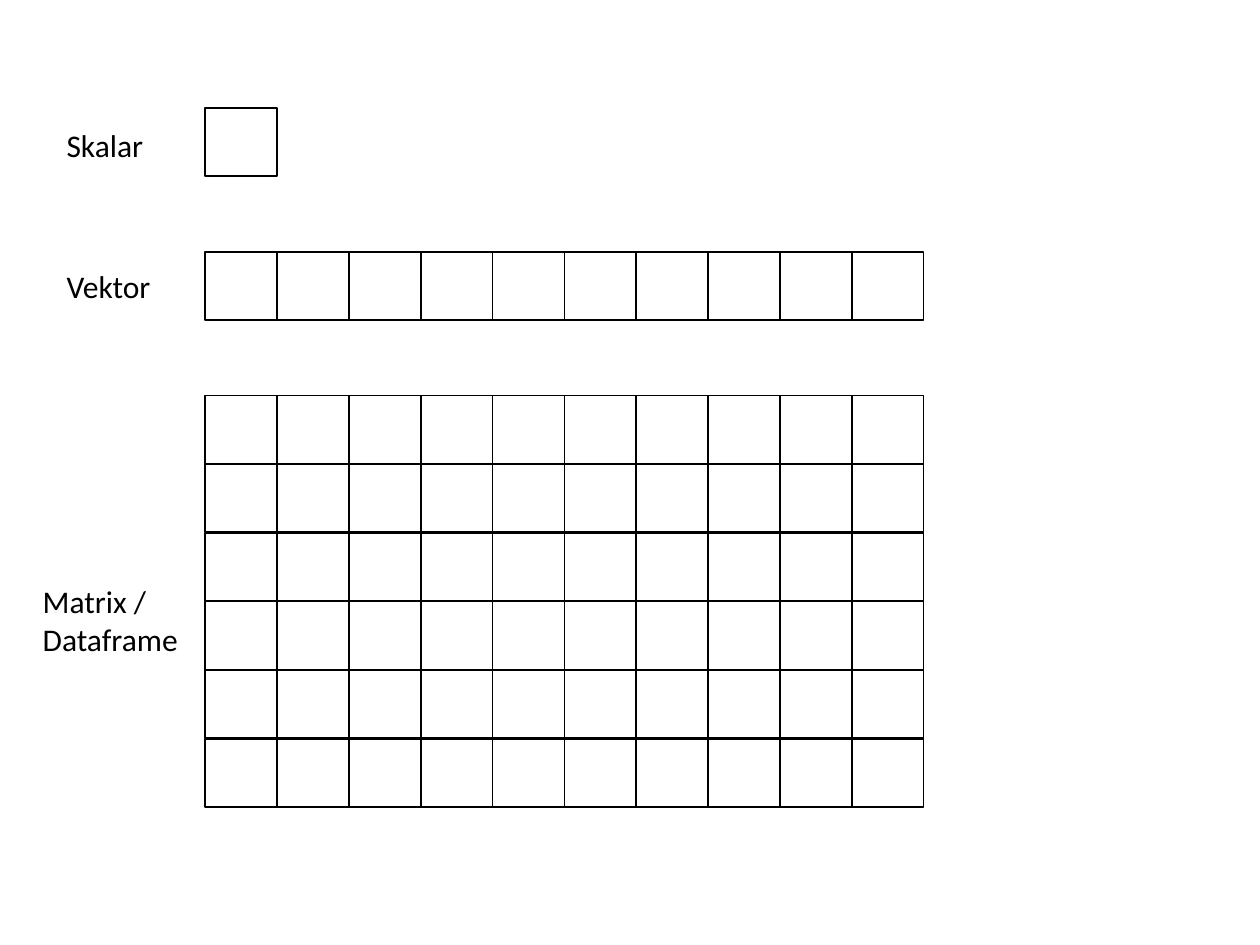
from pptx import Presentation
from pptx.dml.color import RGBColor
from pptx.enum.shapes import MSO_SHAPE
from pptx.util import Inches, Pt

RECT = MSO_SHAPE.RECTANGLE
BLACK = "000000"
LEFT, WIDE, HIGH = 1.63, 0.57, 0.54
STEP = 3.27 / 6  # six matrix rows share this height


def color(code):
    """Turn a hex string into a colour."""
    return RGBColor.from_string(code)


deck = Presentation()
deck.slide_width, deck.slide_height = Inches(10), Inches(7.5)
slide = deck.slides.add_slide(deck.slide_layouts[6])

# Cell grids: top, rows, columns
grids = [(0.86, 1, 1), (2, 1, 10), (3.14, 6, 10)]
for top, rows, cols in grids:
    for row in range(rows):
        for col in range(cols):
            cell = slide.shapes.add_shape(
                RECT, Inches(LEFT + col * WIDE), Inches(top + row * STEP),
                Inches(WIDE), Inches(HIGH))
            cell.shadow.inherit = False
            cell.fill.background()
            cell.line.color.rgb = color(BLACK)
            cell.line.width = Pt(1)

# Labels: text, left, top, width, height
labels = [
    ("Skalar", 0.43, 0.95, 0.95, 0.4),
    ("Vektor", 0.43, 2.07, 0.95, 0.4),
    ("Matrix / Dataframe", 0.24, 4.57, 1.39, 1.31),
]
for text, *place in labels:
    label = slide.shapes.add_textbox(*map(Inches, place))
    frame = label.text_frame
    frame.word_wrap = True
    run = frame.paragraphs[0].add_run()
    run.text = text
    run.font.name = "Calibri"
    run.font.size = Pt(18)
    run.font.color.rgb = color(BLACK)

deck.save("out.pptx")
